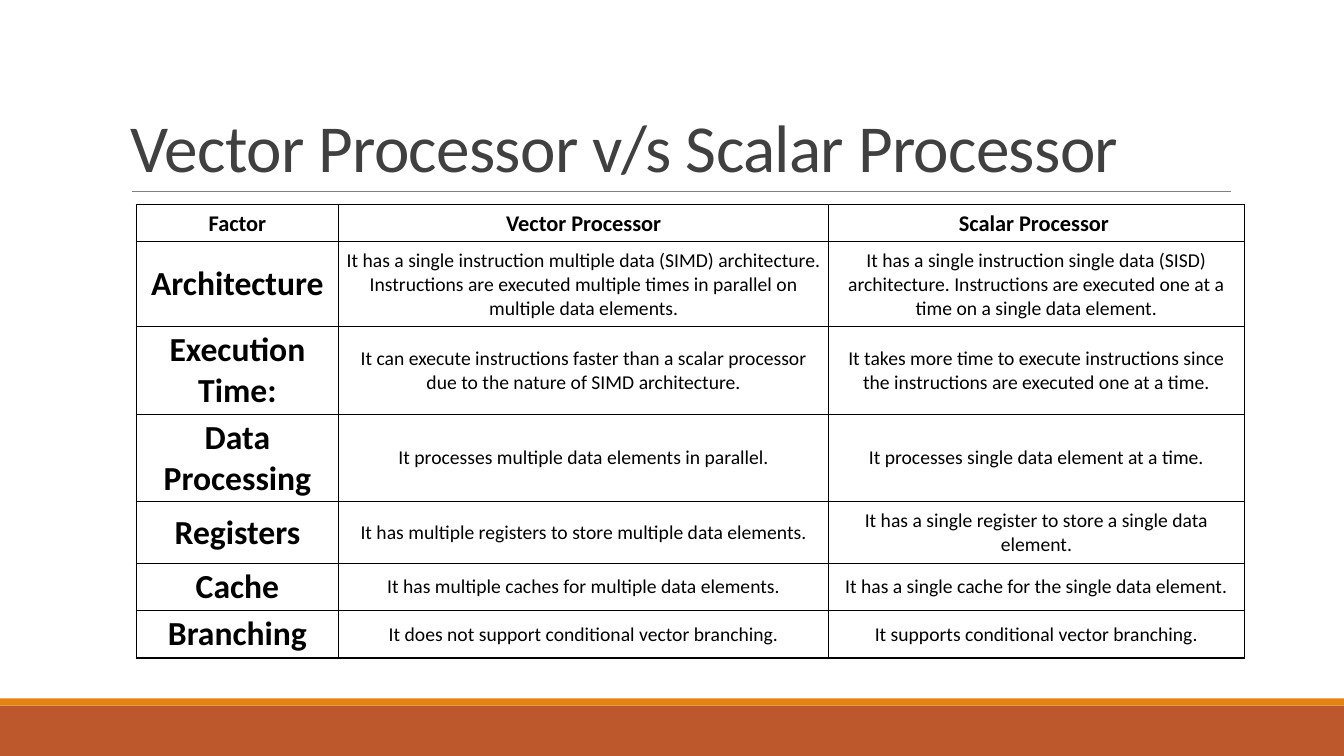
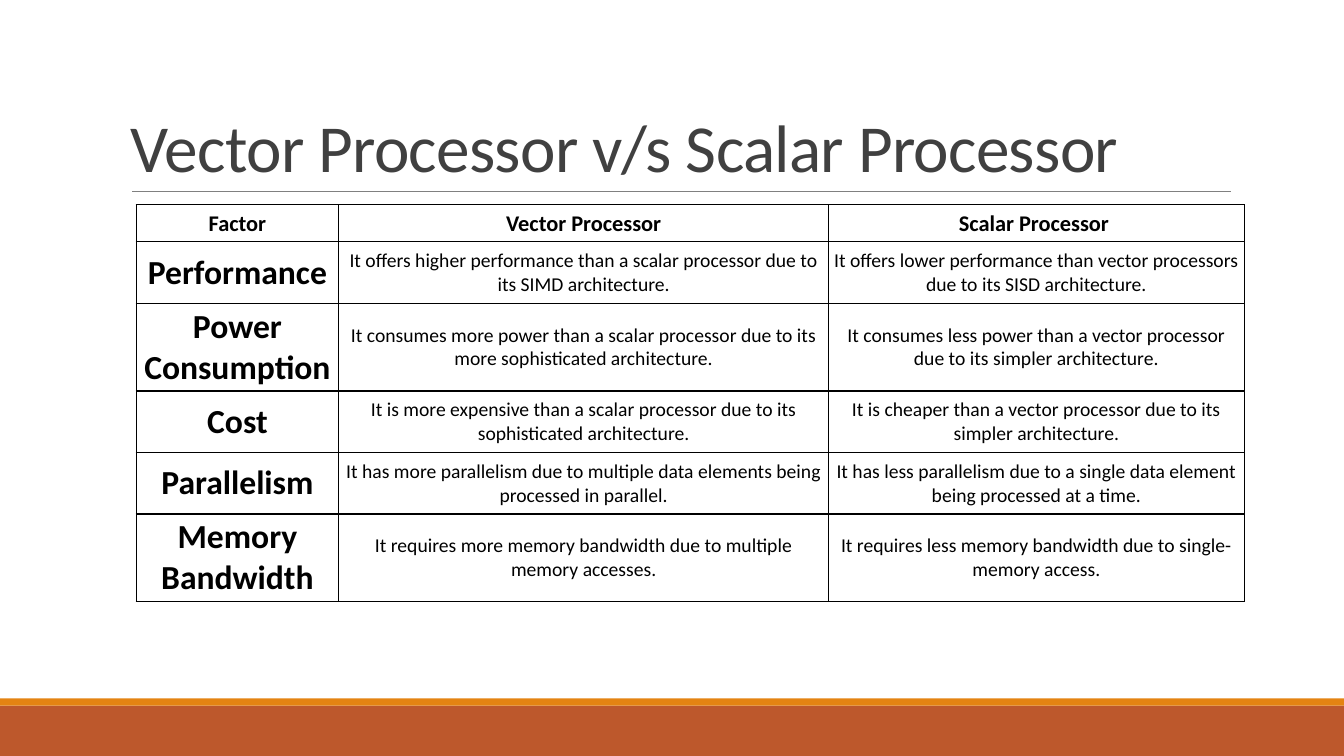
"""Build two slides that compare vector and scalar processors in tables."""
from dataclasses import dataclass
from typing import NamedTuple

from lxml import etree
from pptx import Presentation
from pptx.dml.color import RGBColor
from pptx.enum.shapes import MSO_CONNECTOR, MSO_SHAPE
from pptx.enum.text import MSO_ANCHOR, PP_ALIGN
from pptx.oxml.ns import qn
from pptx.util import Inches, Pt

RECT = MSO_SHAPE.RECTANGLE
STRAIGHT = MSO_CONNECTOR.STRAIGHT
BOTTOM, MIDDLE = MSO_ANCHOR.BOTTOM, MSO_ANCHOR.MIDDLE
CENTER = PP_ALIGN.CENTER


@dataclass(frozen=True)
class Theme:
    font: str = "Calibri"
    title: str = "404040"
    text: str = "000000"
    rule: str = "808080"
    border: str = "000000"
    title_size: int = 48
    head_size: int = 16
    factor_size: int = 24
    body_size: int = 14


class Band(NamedTuple):
    top: float
    height: float
    color: str


class Row(NamedTuple):
    height: float
    factor: str
    vector: str
    scalar: str


class CellStyle(NamedTuple):
    size: int
    bold: bool
    inset_x: float
    inset_y: float


THEME = Theme()
WIDTH, HEIGHT = 13.33, 7.5
BANDS = (Band(7, 0.5, "BD582C"), Band(6.93, 0.07, "E48312"))
TITLE = "Vector Processor v/s Scalar Processor "
COLUMNS = (2.01, 4.86, 4.12)
HEAD = Row(0.37, "Factor", "Vector Processor", "Scalar Processor ")
HEAD_STYLE = CellStyle(THEME.head_size, True, 0.05, 0.05)
FACTOR_STYLE = CellStyle(THEME.factor_size, True, 0.03, 0.03)
BODY_STYLE = CellStyle(THEME.body_size, False, 0.05, 0.07)

TABLES = (
    (
        Row(0.84, "Architecture",
            "It has a single instruction multiple data (SIMD) architecture. "
            "Instructions are executed multiple times in parallel on multiple data elements.",
            "It has a single instruction single data (SISD) architecture. "
            "Instructions are executed one at a time on a single data element."),
        Row(0.87, "Execution Time:",
            "It can execute instructions faster than a scalar processor "
            "due to the nature of SIMD architecture.",
            "It takes more time to execute instructions since "
            "the instructions are executed one at a time."),
        Row(0.87, "Data Processing",
            "It processes multiple data elements in parallel.",
            "It processes single data element at a time."),
        Row(0.61, "Registers",
            "It has multiple registers to store multiple data elements.",
            "It has a single register to store a single data element."),
        Row(0.47, "Cache",
            "It has multiple caches for multiple data elements.",
            "It has a single cache for the single data element."),
        Row(0.47, "Branching",
            "It does not support conditional vector branching.",
            "It supports conditional vector branching."),
    ),
    (
        Row(0.61, "Performance",
            "It offers higher performance than a scalar processor due to its SIMD architecture.",
            "It offers lower performance than vector processors due to its SISD architecture."),
        Row(0.87, "Power Consumption",
            "It consumes more power than a scalar processor due to its "
            "more sophisticated architecture.",
            "It consumes less power than a vector processor due to its simpler architecture."),
        Row(0.61, "Cost",
            "It is more expensive than a scalar processor due to its sophisticated architecture.",
            "It is cheaper than a vector processor due to its simpler architecture."),
        Row(0.61, "Parallelism",
            "It has more parallelism due to multiple data elements being processed in parallel.",
            "It has less parallelism due to a single data element being processed at a time."),
        Row(0.87, "Memory Bandwidth",
            "It requires more memory bandwidth due to multiple memory accesses.",
            "It requires less memory bandwidth due to single-memory access."),
    ),
)


def set_font(p, size: int, color: str, bold: bool = False) -> None:
    p.font.name = THEME.font
    p.font.size = Pt(size)
    p.font.bold = bold
    p.font.color.rgb = RGBColor.from_string(color)


def add_frame(s) -> None:
    for band in BANDS:
        sp = s.shapes.add_shape(RECT, 0, Inches(band.top), Inches(WIDTH), Inches(band.height))
        sp.shadow.inherit = False
        sp.fill.solid()
        sp.fill.fore_color.rgb = RGBColor.from_string(band.color)
        sp.line.fill.background()
    rule = s.shapes.add_connector(STRAIGHT, Inches(1.31), Inches(1.9), Inches(12.21), Inches(1.9))
    rule.line.color.rgb = RGBColor.from_string(THEME.rule)
    rule.line.width = Pt(0.5)
    etree.SubElement(rule._element.spPr, qn("a:effectLst"))


def add_title(s, text: str) -> None:
    tf = s.shapes.add_textbox(Inches(1.2), Inches(0.31), Inches(11), Inches(1.59)).text_frame
    tf.word_wrap = True
    tf.vertical_anchor = BOTTOM
    p = tf.paragraphs[0]
    p.line_spacing = 0.85
    set_font(p, THEME.title_size, THEME.title)
    r = p.add_run()
    r.text = text
    r._r.get_or_add_rPr().set("spc", "-50")


def set_borders(cell) -> None:
    tc_pr = cell._tc.get_or_add_tcPr()
    for i, side in enumerate(("lnL", "lnR", "lnT", "lnB")):
        ln = etree.Element(qn(f"a:{side}"), w=str(Pt(1)))
        fill = etree.SubElement(ln, qn("a:solidFill"))
        etree.SubElement(fill, qn("a:srgbClr"), val=THEME.border)
        tc_pr.insert(i, ln)


def fill_cell(cell, text: str, style: CellStyle) -> None:
    cell.fill.background()
    cell.vertical_anchor = MIDDLE
    cell.margin_left = cell.margin_right = Inches(style.inset_x)
    cell.margin_top = cell.margin_bottom = Inches(style.inset_y)
    p = cell.text_frame.paragraphs[0]
    p.text = text
    p.alignment = CENTER
    set_font(p, style.size, THEME.text, style.bold)
    set_borders(cell)


def add_comparison(s, body: tuple[Row, ...]) -> None:
    rows = (HEAD, *body)
    table = s.shapes.add_table(
        len(rows), len(COLUMNS), Inches(1.35), Inches(2.03),
        Inches(sum(COLUMNS)), Inches(sum(row.height for row in rows))).table
    table.first_row = table.horz_banding = False
    for column, width in zip(table.columns, COLUMNS):
        column.width = Inches(width)
    for i, row in enumerate(rows):
        table.rows[i].height = Inches(row.height)
        for j, text in enumerate((row.factor, row.vector, row.scalar)):
            style = HEAD_STYLE if i == 0 else FACTOR_STYLE if j == 0 else BODY_STYLE
            fill_cell(table.cell(i, j), text, style)


def main() -> None:
    prs = Presentation()
    prs.slide_width, prs.slide_height = Inches(WIDTH), Inches(HEIGHT)
    for body in TABLES:
        s = prs.slides.add_slide(prs.slide_layouts[6])
        add_frame(s)
        add_title(s, TITLE)
        add_comparison(s, body)
    prs.save("out.pptx")


if __name__ == "__main__":
    main()
